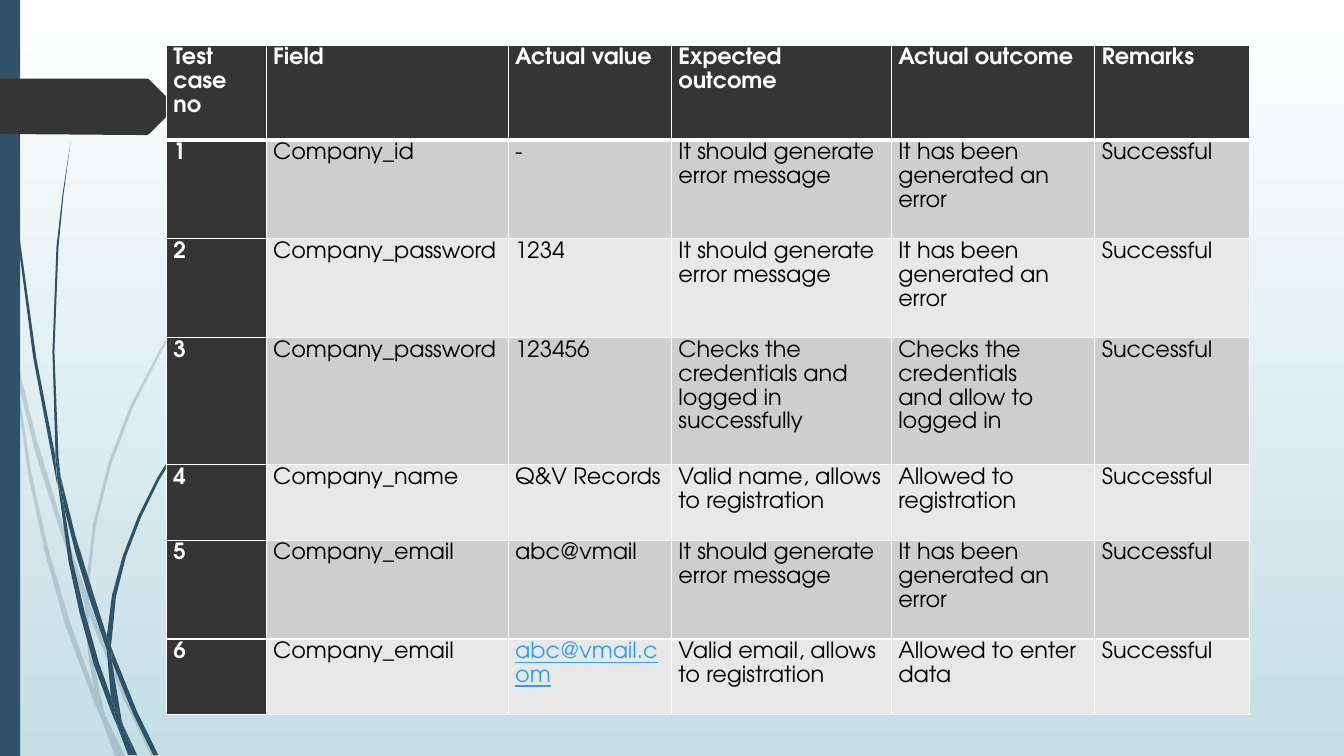
from dataclasses import dataclass

from lxml import etree
from pptx import Presentation
from pptx import util as u
from pptx.dml.color import RGBColor
from pptx.enum import shapes
from pptx.oxml import ns

FONT = "TeX Gyre Adventor"
WHITE = RGBColor(0xFF, 0xFF, 0xFF)
BLACK = RGBColor(0x00, 0x00, 0x00)
SKY = RGBColor(0xC5, 0xDE, 0xE5)
NAVY = RGBColor(0x2E, 0x53, 0x69)
CHARCOAL = RGBColor(0x35, 0x35, 0x35)
BAND_DARK = RGBColor(0xCE, 0xCE, 0xCE)
BAND_LIGHT = RGBColor(0xE8, 0xE8, 0xE8)
LINK = RGBColor(0x2D, 0xA0, 0xF1)


@dataclass
class Outline:
    """Closed outline as x,y pairs in inches."""
    points: str
    color: RGBColor
    alpha: int = 100


@dataclass
class CellStyle:
    fill: RGBColor
    color: RGBColor
    bold: bool = False
    underline: bool = False
    bottom_pt: float = 1


PALE_WISPS = [Outline(points, NAVY, alpha=20) for points in (
    ".11,3.5 .09,3.22 0,2.82 0,2.99 .1,3.44",
    ".58,5.22 .84,5.99 .85,5.86 .62,5.2 .36,4.35 .14,3.45 .17,3.76 .35,4.49",
    ".92,6.07 .88,5.96 .88,6.1 1.23,6.94 1.5,7.5 1.55,7.5 1.27,6.92",
    "1.19,7.5 1.24,7.5 1.05,7.11",
    ".93,6.83 .7,6.19 .48,5.45 .31,4.69 .17,3.76 .11,3.5 .28,4.7 .44,5.46 .65,6.21 .92,6.93 "
    "1.01,7.14 .99,7.07",
    ".84,5.99 .87,6.46 .93,6.83 .96,6.92 1.05,7.11 1.03,7.06 .91,6.46 .88,6.1 .88,6.08",
    ".88,5.84 .95,5.22 1.1,4.62 1.32,4.04 1.6,3.49 1.92,2.95 2.29,2.45 2.68,1.98 2.9,1.75 3.12,1.54 "
    "3.12,1.53 2.89,1.75 2.68,1.97 2.28,2.44 1.91,2.94 1.58,3.48 1.29,4.03 1.07,4.61 .92,5.22 "
    ".85,5.84 .85,5.86 .88,5.96",
    "1.01,7.14 1.14,7.5 1.19,7.5",
    ".88,6.08 .88,6.1 .88,5.96 .85,5.86 .84,5.99",
    ".96,6.92 .93,6.83 .99,7.07 1.01,7.14 1.19,7.5 1.05,7.11",
)]
DARK_WISPS = [Outline(points, NAVY) for points in (
    ".07,1.1 .17,2.33 .33,3.55 .56,4.77 .57,4.81 .55,4.57 .55,4.53 .36,3.55 .19,2.32 .08,1.09 "
    ".05,.48 .04,0 .03,0 .04,.48",
    ".88,5.92 1.06,6.45 1.06,6.33 1.06,6.31 .93,5.9 .75,5.32 .6,4.72 .64,5.05 .75,5.49",
    "1.13,6.49 1.1,6.41 1.11,6.56 1.32,7.08 1.52,7.49 1.57,7.49 1.36,7.06",
    "1.1,6.91 .98,6.57 .84,6.07 .72,5.56 .64,5.05 .57,4.77 .68,5.57 .79,6.08 .93,6.59 1.11,7.08 "
    "1.17,7.22 1.16,7.17",
    ".6,4.72 .58,4.53 .54,3.49 .58,2.45 .63,1.93 .7,1.41 .62,1.93 .56,2.45 .52,3.49 .55,4.49",
    "1.33,7.49 1.36,7.49 1.22,7.19",
    ".57,4.77 .64,5.05 .6,4.72 .55,4.49 .55,4.53",
    "1.11,6.33 1.15,5.92 1.25,5.52 1.4,5.13 1.58,4.76 1.8,4.4 2.05,4.06 2.31,3.74 2.45,3.59 "
    "2.61,3.44 2.6,3.44 2.45,3.58 2.31,3.73 2.04,4.05 1.78,4.39 1.56,4.74 1.37,5.12 1.22,5.51 "
    "1.11,5.91 1.06,6.31 1.1,6.41",
    "1.17,7.22 1.27,7.49 1.31,7.49",
    "1.06,6.45 1.1,6.91 1.16,7.06 1.22,7.19 1.21,7.16 1.11,6.56 1.09,6.51",
    "1.06,6.45 1.09,6.51 1.11,6.56 1.1,6.41 1.06,6.31 1.06,6.33",
    "1.16,7.06 1.1,6.91 1.16,7.17 1.17,7.22 1.3,7.49 1.33,7.49 1.22,7.19",
)]
PAGE_ARROW = Outline("0,.78 1.46,.78 1.48,.79 1.73,1.04 1.74,1.06 1.73,1.08 1.48,1.33 "
                     "1.46,1.34 1.36,1.34 0,1.33", CHARCOAL)

COLUMN_WIDTHS = [0.99, 2.4, 1.62, 2.18, 2.02, 1.53]
ROW_HEIGHTS = [0.94, 0.98, 0.98, 1.26, 0.75, 0.98, 0.75]
ERROR = ("It should generate error message", "It has been generated an error")
HEADERS = ("Test case no", "Field", "Actual value", "Expected outcome", "Actual outcome", "Remarks")
TEST_CASES = [
    ("Company_id", "-", *ERROR),
    ("Company_password", "1234", *ERROR),
    ("Company_password", "123456", "Checks the credentials and logged in successfully",
     "Checks the credentials\nand allow to logged in"),
    ("Company_name", "Q&V Records", "Valid name, allows to registration", "Allowed to registration"),
    ("Company_email", "abc@vmail", *ERROR),
    ("Company_email", "abc@vmail.com", "Valid email, allows to registration", "Allowed to enter data"),
]


def paint(sp, color: RGBColor, alpha: int = 100) -> None:
    sp.shadow.inherit = False
    sp.fill.solid()
    sp.fill.fore_color.rgb = color
    sp.line.fill.background()
    if alpha < 100:
        clr = sp._element.spPr.find(ns.qn("a:solidFill"))[0]
        etree.SubElement(clr, ns.qn("a:alpha"), val=str(alpha * 1000))


def add_outline(s, outline: Outline) -> None:
    pts = [tuple(u.Inches(float(n)) for n in pair.split(",")) for pair in outline.points.split()]
    builder = s.shapes.build_freeform(*pts[0])
    builder.add_line_segments(pts[1:], close=True)
    paint(builder.convert_to_shape(), outline.color, outline.alpha)


def fill_cell(cell, content: str, style: CellStyle) -> None:
    cell.margin_left = cell.margin_right = u.Inches(0.07)
    cell.margin_top = cell.margin_bottom = 0
    cell.fill.solid()
    cell.fill.fore_color.rgb = style.fill
    tf = cell.text_frame
    tf.text = content
    for p in tf.paragraphs:
        p.line_spacing = 1.15
        for r in p.runs:
            r.font.name, r.font.size = FONT, u.Pt(16)
            r.font.bold, r.font.underline = style.bold, style.underline
            r.font.color.rgb = style.color
    # Cell borders come before the fill in the cell properties
    tc_pr = cell._tc.get_or_add_tcPr()
    for i, side in enumerate(("lnL", "lnR", "lnT", "lnB")):
        width = u.Pt(style.bottom_pt if side == "lnB" else 1)
        ln = etree.Element(ns.qn(f"a:{side}"), w=str(width))
        solid = etree.SubElement(ln, ns.qn("a:solidFill"))
        etree.SubElement(solid, ns.qn("a:srgbClr"), val=str(WHITE))
        tc_pr.insert(i, ln)


def cell_style(row: int, col: int, content: str) -> CellStyle:
    if row == 0 or col == 0:
        return CellStyle(CHARCOAL, WHITE, bold=True, bottom_pt=3 if row == 0 else 1)
    is_link = content.endswith(".com")
    return CellStyle(BAND_DARK if row % 2 else BAND_LIGHT, LINK if is_link else BLACK, underline=is_link)


def add_test_table(s) -> None:
    rows = [HEADERS] + [(str(n), *case, "Successful") for n, case in enumerate(TEST_CASES, 1)]
    table = s.shapes.add_table(len(rows), len(HEADERS), u.Inches(1.65), u.Inches(0.45),
                               u.Inches(sum(COLUMN_WIDTHS)), u.Inches(sum(ROW_HEIGHTS))).table
    for column, width in zip(table.columns, COLUMN_WIDTHS):
        column.width = u.Inches(width)
    for i, (height, row) in enumerate(zip(ROW_HEIGHTS, rows)):
        table.rows[i].height = u.Inches(height)
        for j, content in enumerate(row):
            fill_cell(table.cell(i, j), content, cell_style(i, j, content))


def main() -> None:
    prs = Presentation()
    prs.slide_width, prs.slide_height = u.Inches(13.33), u.Inches(7.5)
    s = prs.slides.add_slide(prs.slide_layouts[6])

    # Background, fading downwards
    bg = s.background.fill
    bg.gradient()
    bg.gradient_angle = 270
    for stop, position, color in zip(bg.gradient_stops, (0, 1), (WHITE, SKY)):
        stop.position, stop.color.rgb = position, color

    # Grass wisps, side bar and page arrow
    for wisp in PALE_WISPS + DARK_WISPS:
        add_outline(s, wisp)
    bar = s.shapes.add_shape(shapes.MSO_SHAPE.RECTANGLE, 0, 0, u.Inches(0.2), u.Inches(7.5))
    paint(bar, NAVY)
    add_outline(s, PAGE_ARROW)

    # Test results
    add_test_table(s)
    prs.save("out.pptx")


if __name__ == "__main__":
    main()
